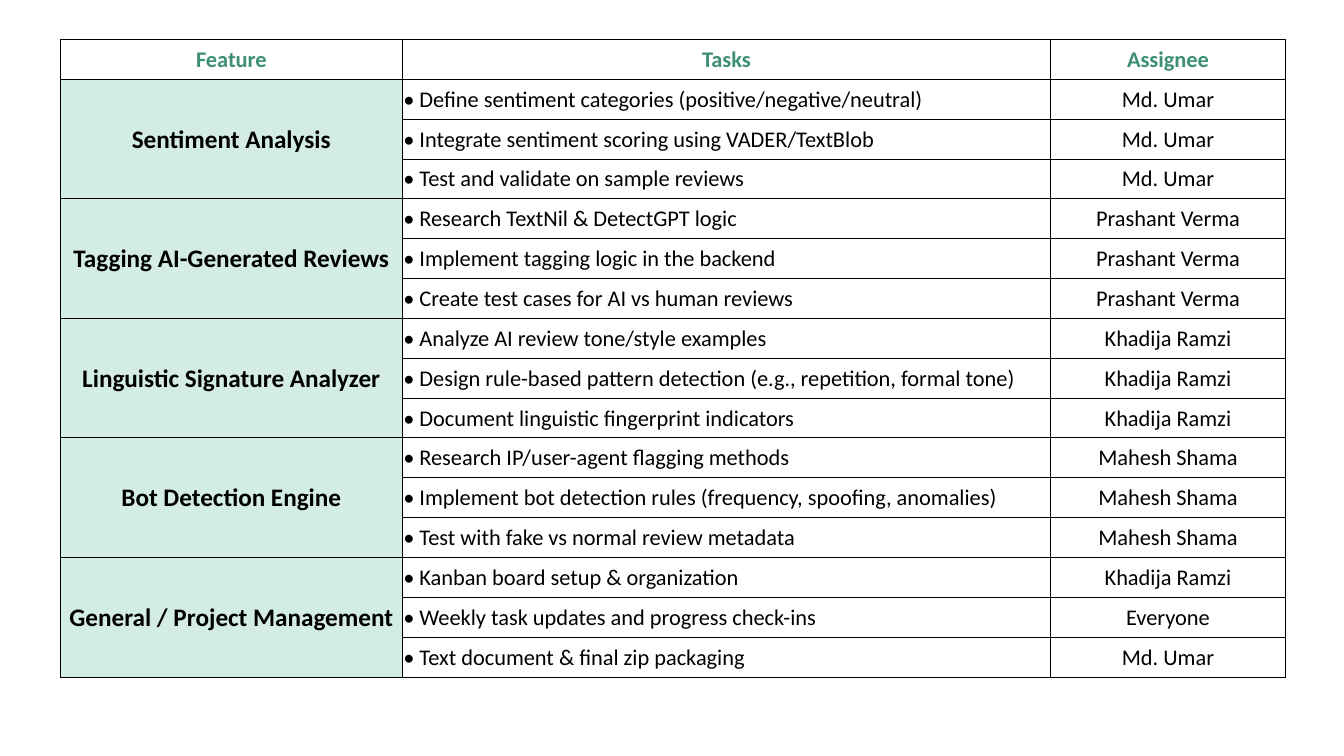
from dataclasses import dataclass

from lxml import etree
from pptx import Presentation
from pptx import util as u
from pptx.dml.color import RGBColor
from pptx.enum import text as t
from pptx.oxml import ns


@dataclass(frozen=True)
class Theme:
    font: str = "Calibri"
    ink: str = "000000"
    head: str = "3D9072"
    tint: str = "D4EDE4"
    body: int = 16
    large: int = 18
    line: float = 0.5


# Each feature with its tasks and their assignees
HEADS = ["Feature", "Tasks", "Assignee"]
PLAN = {
    "Sentiment Analysis": [
        ("Define sentiment categories (positive/negative/neutral)", "Md. Umar"),
        ("Integrate sentiment scoring using VADER/TextBlob", "Md. Umar"),
        ("Test and validate on sample reviews", "Md. Umar"),
    ],
    "Tagging AI-Generated Reviews": [
        ("Research TextNil & DetectGPT logic", "Prashant Verma"),
        ("Implement tagging logic in the backend", "Prashant Verma"),
        ("Create test cases for AI vs human reviews", "Prashant Verma"),
    ],
    "Linguistic Signature Analyzer": [
        ("Analyze AI review tone/style examples", "Khadija Ramzi"),
        ("Design rule-based pattern detection (e.g., repetition, formal tone)",
         "Khadija Ramzi"),
        ("Document linguistic fingerprint indicators", "Khadija Ramzi"),
    ],
    "Bot Detection Engine": [
        ("Research IP/user-agent flagging methods", "Mahesh Shama"),
        ("Implement bot detection rules (frequency, spoofing, anomalies)",
         "Mahesh Shama"),
        ("Test with fake vs normal review metadata", "Mahesh Shama"),
    ],
    "General / Project Management": [
        ("Kanban board setup & organization", "Khadija Ramzi"),
        ("Weekly task updates and progress check-ins", "Everyone"),
        ("Text document & final zip packaging", "Md. Umar"),
    ],
}


def write(frame, words, *, font, size, color, bold=False, align="CENTER"):
    """Put one formatted line of text in a frame."""
    para = frame.paragraphs[0]
    para.alignment = getattr(t.PP_ALIGN, align)
    run = para.add_run()
    run.text = words
    run.font.name = font
    run.font.size = u.Pt(size)
    run.font.bold = bold
    run.font.color.rgb = RGBColor.from_string(color)


class Deck:
    def __init__(self, theme):
        self.theme = theme
        self.prs = Presentation()
        self.prs.slide_width = u.Inches(13.33)
        self.prs.slide_height = u.Inches(7.5)
        self.slide = self.prs.slides.add_slide(self.prs.slide_layouts[6])

    def table(self, left, top, height, widths, count):
        shape = self.slide.shapes.add_table(
            count, len(widths), u.Inches(left), u.Inches(top),
            u.Inches(sum(widths)), u.Inches(height))
        grid = shape.table
        grid.first_row = grid.horz_banding = False
        for col, width in zip(grid.columns, widths):
            col.width = u.Inches(width)
        for cell in grid.iter_cells():
            self.plain(cell)
        return grid

    def plain(self, cell):
        """Clear the fill, tighten the margins and draw thin borders."""
        cell.fill.background()
        cell.vertical_anchor = t.MSO_ANCHOR.MIDDLE
        cell.margin_left = cell.margin_top = cell.margin_right = u.Inches(0.01)
        cell.margin_bottom = 0
        props = cell._tc.get_or_add_tcPr()
        for pos, side in enumerate("LRTB"):
            line = etree.Element(ns.qn(f"a:ln{side}"),
                                 w=str(u.Pt(self.theme.line)))
            fill = etree.SubElement(line, ns.qn("a:solidFill"))
            etree.SubElement(fill, ns.qn("a:srgbClr"), val=self.theme.ink)
            props.insert(pos, line)

    def cell(self, cell, words, fill=None, **style):
        base = dict(font=self.theme.font, size=self.theme.body,
                    color=self.theme.ink)
        write(cell.text_frame, words, **(base | style))
        if fill:
            cell.fill.solid()
            cell.fill.fore_color.rgb = RGBColor.from_string(fill)


def main():
    theme = Theme()
    deck = Deck(theme)
    count = 1 + sum(len(tasks) for tasks in PLAN.values())
    grid = deck.table(0.6, 0.39, 6.33, [3.39, 6.43, 2.33], count)

    # Header row
    for col, head in enumerate(HEADS):
        deck.cell(grid.cell(0, col), head, color=theme.head, bold=True)

    # Feature blocks
    row = 1
    for name, tasks in PLAN.items():
        block = grid.cell(row, 0)
        block.merge(grid.cell(row + len(tasks) - 1, 0))
        deck.cell(block, name, fill=theme.tint, size=theme.large, bold=True)
        for task, owner in tasks:
            deck.cell(grid.cell(row, 1), f"• {task}", align="LEFT")
            deck.cell(grid.cell(row, 2), owner)
            row += 1

    deck.prs.save("out.pptx")


if __name__ == "__main__":
    main()
